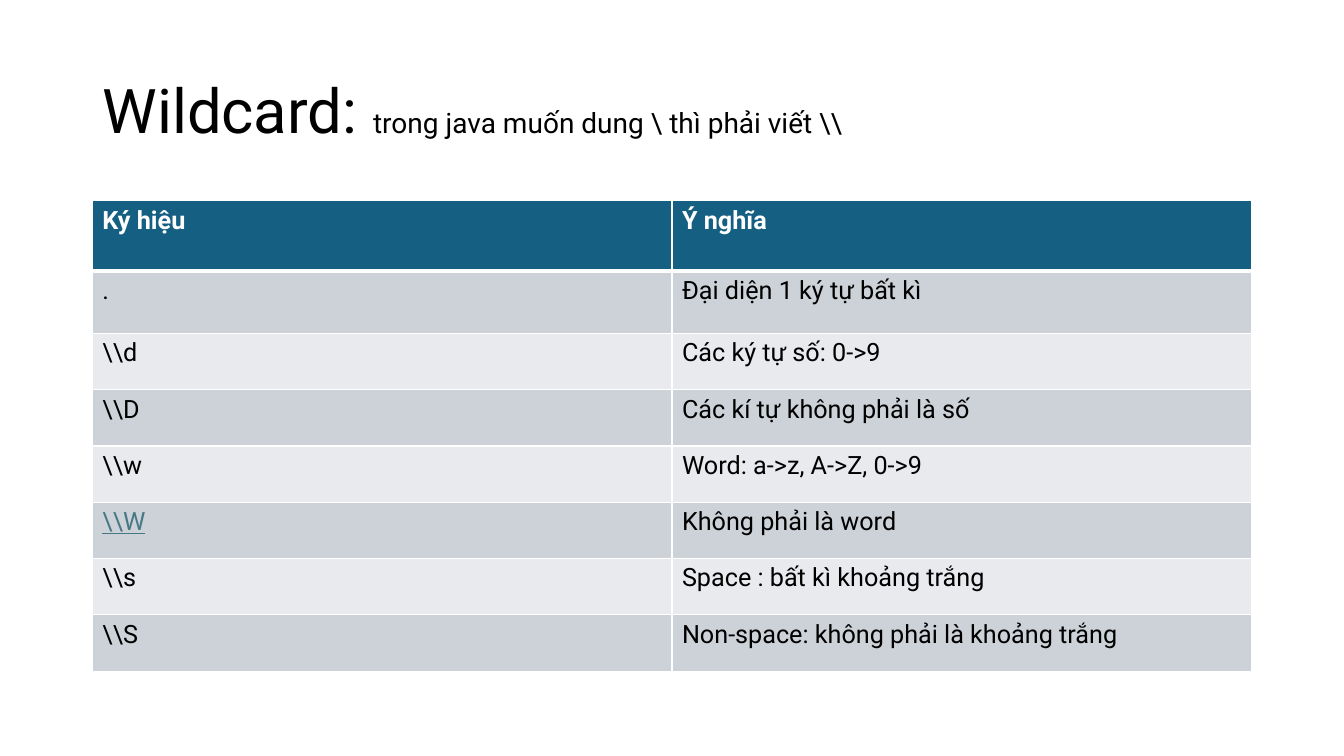
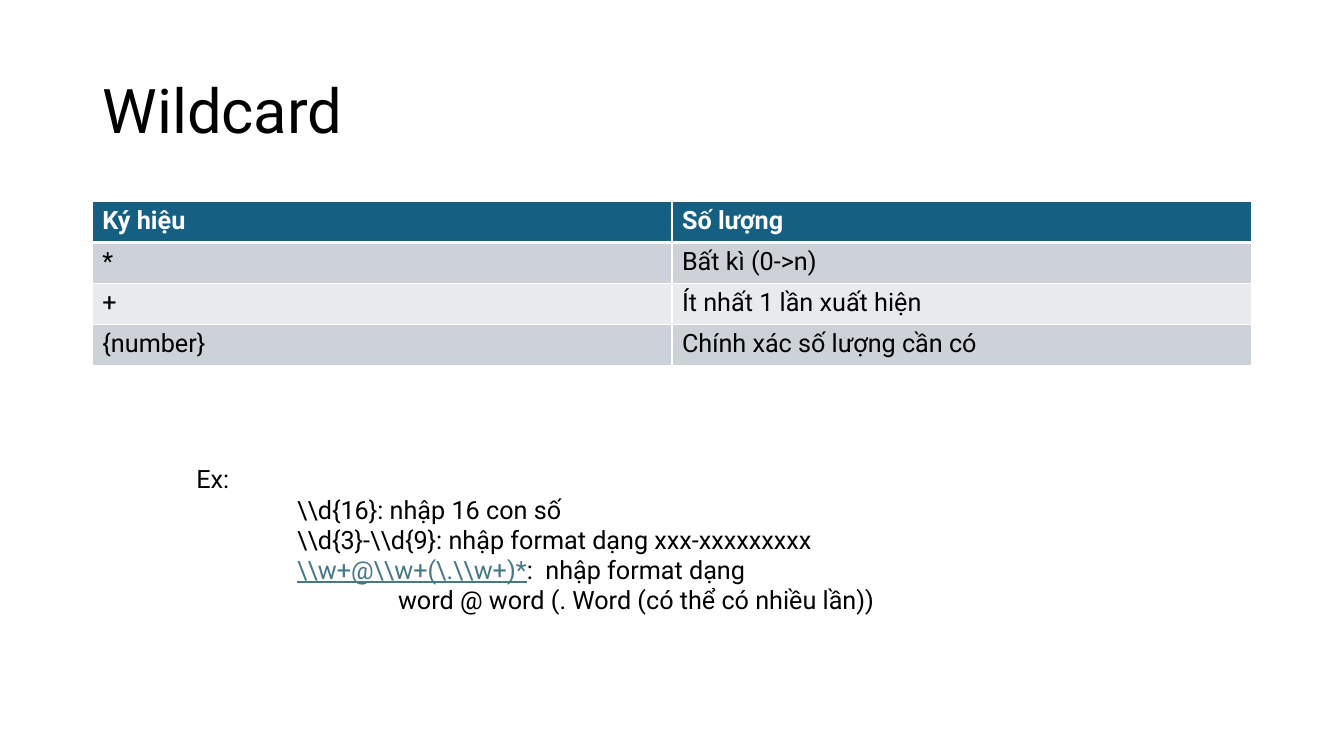
from lxml.etree import SubElement
from pptx import Presentation
from pptx.dml.color import RGBColor
from pptx.enum.text import MSO_ANCHOR, MSO_AUTO_SIZE, PP_ALIGN
from pptx.oxml.ns import qn
from pptx.util import Inches, Pt

FONT = "Roboto"
BLACK = RGBColor(0x00, 0x00, 0x00)
WHITE = RGBColor(0xFF, 0xFF, 0xFF)
HEADER_BLUE = RGBColor(0x15, 0x60, 0x82)
BAND_DARK = RGBColor(0xCC, 0xD2, 0xD8)
BAND_LIGHT = RGBColor(0xE8, 0xEA, 0xED)
LINK_TEAL = RGBColor(0x46, 0x78, 0x86)

SLIDE_WIDTH, SLIDE_HEIGHT = Inches(13.333), Inches(7.5)
GRID_COLUMNS, GRID_ROWS = 160, 90
MARGIN, CONTENT_WIDTH = 11, 138
INDENT = 12


def add_text(paragraph, text, size=18, color=BLACK, bold=False, underline=False):
    run = paragraph.add_run()
    run.text = text
    font = run.font
    font.name, font.size, font.bold, font.underline = FONT, Pt(size), bold, underline
    font.color.rgb = color


class Deck:
    def __init__(self):
        self.presentation = Presentation()
        self.presentation.slide_width = SLIDE_WIDTH
        self.presentation.slide_height = SLIDE_HEIGHT
        self.slide = None

    def across(self, columns):
        return round(SLIDE_WIDTH * columns / GRID_COLUMNS)

    def down(self, rows):
        return round(SLIDE_HEIGHT * rows / GRID_ROWS)

    def box(self, column, row, width, height):
        return self.across(column), self.down(row), self.across(width), self.down(height)

    def new_slide(self, title, note=None):
        self.slide = self.presentation.slides.add_slide(self.presentation.slide_layouts[5])
        shape = self.slide.shapes.title
        shape.left, shape.top, shape.width, shape.height = self.box(
            MARGIN, 4.8, CONTENT_WIDTH, 17.4)
        frame = shape.text_frame
        frame.auto_size = MSO_AUTO_SIZE.NONE
        frame.vertical_anchor = MSO_ANCHOR.MIDDLE
        paragraph = frame.paragraphs[0]
        paragraph.alignment = PP_ALIGN.LEFT
        paragraph.line_spacing = 0.9
        add_text(paragraph, title, size=44)
        if note:
            add_text(paragraph, note, size=20)

    def add_table(self, top, records, heights, links=()):
        shape = self.slide.shapes.add_table(
            len(records), len(records[0]),
            *self.box(MARGIN, top, CONTENT_WIDTH, sum(heights)))
        table = shape.table
        for row_index, (record, height) in enumerate(zip(records, heights)):
            table.rows[row_index].height = self.down(height)
            for column_index, text in enumerate(record):
                cell = table.cell(row_index, column_index)
                self.format_cell(cell, row_index)
                paragraph = cell.text_frame.paragraphs[0]
                if row_index == 0:
                    add_text(paragraph, text, color=WHITE, bold=True)
                elif text in links:
                    add_text(paragraph, text, color=LINK_TEAL, underline=True)
                else:
                    add_text(paragraph, text)

    def format_cell(self, cell, row_index):
        widths = {"L": 1, "R": 1,
                  "T": 3 if row_index == 1 else 1,
                  "B": 3 if row_index == 0 else 1}
        properties = cell._tc.get_or_add_tcPr()
        for side, width in widths.items():
            line = SubElement(properties, qn(f"a:ln{side}"), w=str(Pt(width)))
            fill = SubElement(line, qn("a:solidFill"))
            SubElement(fill, qn("a:srgbClr"), val=str(WHITE))
        cell.fill.solid()
        band = BAND_DARK if row_index % 2 else BAND_LIGHT
        cell.fill.fore_color.rgb = band if row_index else HEADER_BLUE

    def add_outline(self, column, row, width, height, lines):
        shape = self.slide.shapes.add_textbox(*self.box(column, row, width, height))
        frame = shape.text_frame
        frame.word_wrap = True
        frame.auto_size = MSO_AUTO_SIZE.SHAPE_TO_FIT_TEXT
        for index, (level, link, text) in enumerate(lines):
            paragraph = frame.add_paragraph() if index else frame.paragraphs[0]
            paragraph._p.get_or_add_pPr().set("marL", str(self.across(INDENT * level)))
            if link:
                add_text(paragraph, link, color=LINK_TEAL, underline=True)
            add_text(paragraph, text)


def main():
    deck = Deck()

    deck.new_slide("Wildcard: ", note=r"trong java muốn dung \ thì phải viết \\ ".rstrip())
    symbols = [
        ("Ký hiệu", "Ý nghĩa"),
        (".", "Đại diện 1 ký tự bất kì"),
        (r"\\d", "Các ký tự số: 0->9"),
        (r"\\D", "Các kí tự không phải là số"),
        (r"\\w", "Word: a->z, A->Z, 0->9"),
        (r"\\W", "Không phải là word"),
        (r"\\s", "Space : bất kì khoảng trắng"),
        (r"\\S", "Non-space: không phải là khoảng trắng"),
    ]
    deck.add_table(23.9, symbols, [8.4, 7.4] + [6.7] * 6, links=(r"\\W",))

    deck.new_slide("Wildcard")
    quantities = [
        ("Ký hiệu", "Số lượng"),
        ("*", "Bất kì (0->n)"),
        ("+", "Ít nhất 1 lần xuất hiện"),
        ("{number}", "Chính xác số lượng cần có"),
    ]
    deck.add_table(24, quantities, [4.87] * 4)
    examples = [
        (0, None, "Ex:"),
        (1, None, r"\\d{16}: nhập 16 con số"),
        (1, None, r"\\d{3}-\\d{9}: nhập format dạng xxx-xxxxxxxxx"),
        (1, r"\\w+@\\w+(\.\\w+)*", ":  nhập format dạng"),
        (2, None, "word @ word (. Word (có thể có nhiều lần))"),
    ]
    deck.add_outline(22.2, 54.6, 84.6, 19.4, examples)

    deck.presentation.save("out.pptx")


if __name__ == "__main__":
    main()
